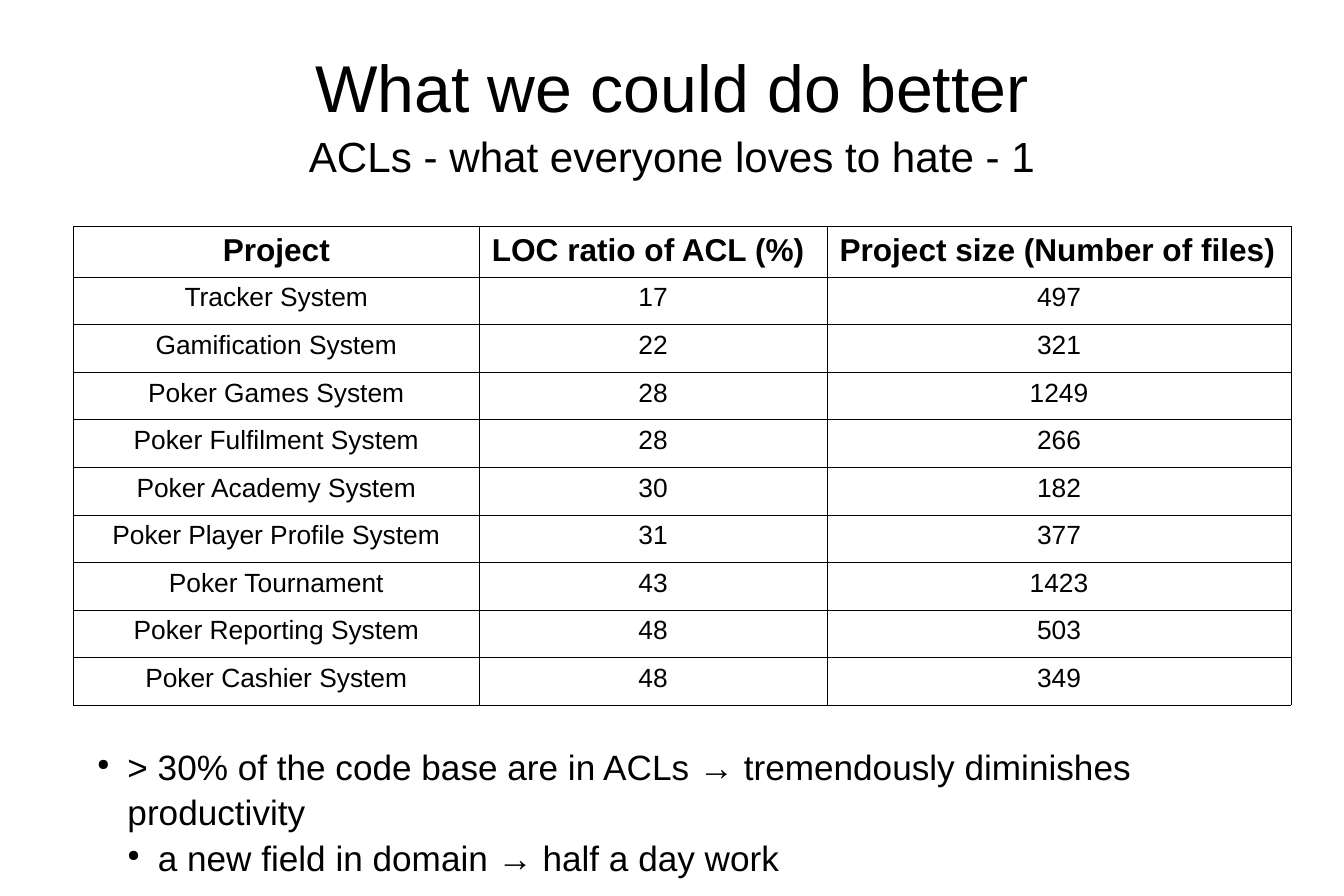
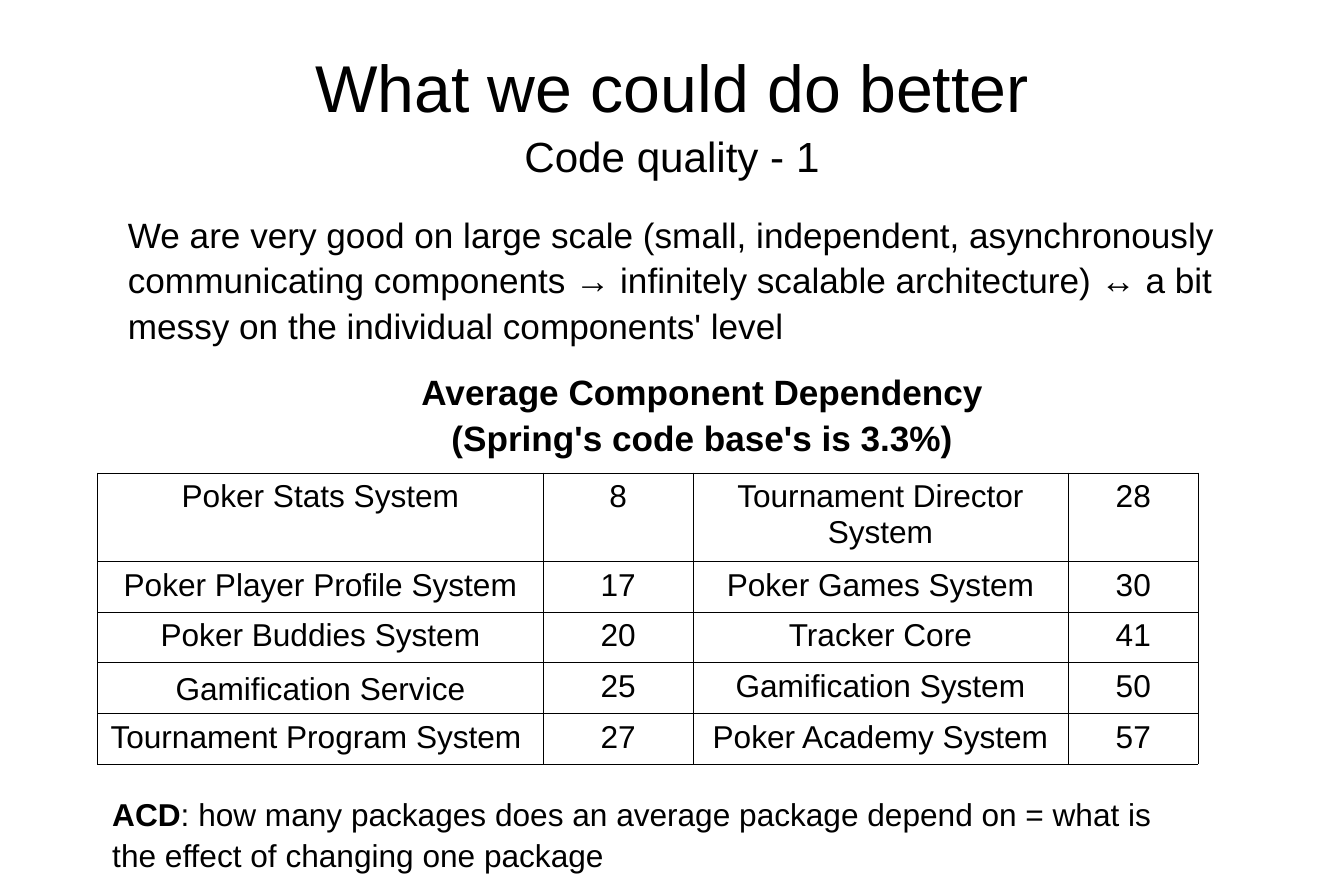
from dataclasses import dataclass

from lxml.etree import SubElement
from pptx import Presentation
from pptx.dml.color import RGBColor
from pptx.enum.text import MSO_ANCHOR, PP_ALIGN
from pptx.oxml.ns import qn
from pptx.util import Inches, Pt


@dataclass(frozen=True)
class Theme:
    ink: str = "000000"
    paper: str = "FFFFFF"
    font: str = "Arial"
    title: float = 37.7
    subtitle: float = 24
    body: float = 20
    table: float = 18
    table_small: float = 15
    line_spacing: float = 1.08
    paragraph_gap: float = 12.1
    border: float = 0.06
    bullet_percent: int = 45
    indent: float = 0.24


@dataclass(frozen=True)
class Box:
    left: float
    top: float
    width: float
    height: float

    def lengths(self):
        return (
            Inches(self.left * COLUMN),
            Inches(self.top * ROW),
            Inches(self.width * COLUMN),
            Inches(self.height * ROW),
        )


THEME = Theme()
WIDTH, HEIGHT = 10.63, 7.09
COLUMN, ROW = WIDTH / 100, HEIGHT / 100
TITLE_BOX = Box(5, 4, 90, 16.67)

ACL_ROWS = [
    ("Project", "LOC ratio of ACL (%)", "Project size (Number of files)"),
    ("Tracker System", "17", "497"),
    ("Gamification System", "22", "321"),
    ("Poker Games System", "28", "1249"),
    ("Poker Fulfilment System", "28", "266"),
    ("Poker Academy System", "30", "182"),
    ("Poker Player Profile System", "31", "377"),
    ("Poker Tournament", "43", "1423"),
    ("Poker Reporting System", "48", "503"),
    ("Poker Cashier System", "48", "349"),
]
DEPENDENCY_ROWS = [
    ("Poker Stats System", "8", "Tournament Director System", "28"),
    ("Poker Player Profile System", "17", "Poker Games System", "30"),
    ("Poker Buddies System", "20", "Tracker Core", "41"),
    ("Gamification Service", "25", "Gamification System", "50"),
    ("Tournament Program System ", "27", "Poker Academy System", "57"),
]


def write(para, text, size=THEME.body, bold=False, align=None):
    if align is not None:
        para.alignment = align
    for number, line in enumerate(text.split("\n")):
        if number:
            para.add_line_break()
        span = para.add_run()
        span.text = line
        span.font.name = THEME.font
        span.font.size = Pt(size)
        span.font.bold = bold
        span.font.color.rgb = RGBColor.from_string(THEME.ink)


def set_indent(para, left, first=0):
    properties = para._p.get_or_add_pPr()
    properties.set("marL", str(Inches(left)))
    properties.set("indent", str(Inches(first)))


def set_bullet(para, level):
    para.level = level
    para.line_spacing = THEME.line_spacing
    set_indent(para, THEME.indent * (level + 1), -THEME.indent)
    properties = para._p.get_or_add_pPr()
    color = SubElement(properties, qn("a:buClr"))
    SubElement(color, qn("a:srgbClr"), val=THEME.ink)
    SubElement(properties, qn("a:buSzPct"), val=str(THEME.bullet_percent * 1000))
    SubElement(properties, qn("a:buChar"), char="●")


def add_paragraphs(page, box, count, padded=True):
    frame = page.shapes.add_textbox(*box.lengths()).text_frame
    frame.word_wrap = True
    if not padded:
        frame.margin_left = frame.margin_right = 0
        frame.margin_top = frame.margin_bottom = 0
    for _ in range(count - 1):
        frame.add_paragraph()
    for para in frame.paragraphs:
        para.line_spacing = THEME.line_spacing
    return frame, frame.paragraphs


def add_title(page, box, subtitle):
    frame, (para,) = add_paragraphs(page, box, 1, padded=False)
    frame.vertical_anchor = MSO_ANCHOR.MIDDLE
    write(para, "What we could do better", size=THEME.title, align=PP_ALIGN.CENTER)
    para.add_line_break()
    write(para, subtitle, size=THEME.subtitle)


def add_bullets(page, box, items):
    _, paras = add_paragraphs(page, box, len(items))
    for para, (level, text) in zip(paras, items):
        set_bullet(para, level)
        write(para, text)


def add_introduction(page, box, statement, heading):
    _, paras = add_paragraphs(page, box, 2, padded=False)
    for para in paras:
        set_indent(para, 2 * THEME.indent)
        para.space_after = Pt(THEME.paragraph_gap)
    write(paras[0], statement)
    write(paras[1], heading, bold=True, align=PP_ALIGN.CENTER)


def add_definition(page, box, term, meaning):
    _, (para,) = add_paragraphs(page, box, 1)
    write(para, term, size=THEME.table, bold=True)
    write(para, meaning, size=THEME.table)


def style_cell(cell):
    properties = cell._tc.get_or_add_tcPr()
    for side in ("lnL", "lnR", "lnT", "lnB"):
        line = SubElement(properties, qn(f"a:{side}"), w=str(Pt(THEME.border)))
        fill = SubElement(line, qn("a:solidFill"))
        SubElement(fill, qn("a:srgbClr"), val=THEME.ink)
    cell.fill.solid()
    cell.fill.fore_color.rgb = RGBColor.from_string(THEME.paper)


def share_out(tracks, total, weights, attribute):
    for track, weight in zip(tracks, weights):
        setattr(track, attribute, int(total * weight / sum(weights)))


def add_grid(page, box, rows, widths, heights, size, header=False):
    left, top, width, height = box.lengths()
    table = page.shapes.add_table(
        len(rows), len(widths), left, top, width, height
    ).table
    table.first_row = header
    table.horz_banding = False
    share_out(table.columns, width, widths, "width")
    share_out(table.rows, height, heights, "height")
    for row, texts in enumerate(rows):
        heading = header and row == 0
        for column, text in enumerate(texts):
            cell = table.cell(row, column)
            style_cell(cell)
            write(
                cell.text_frame.paragraphs[0],
                text,
                size=THEME.table if heading else size,
                bold=heading,
                align=PP_ALIGN.LEFT if heading and column else PP_ALIGN.CENTER,
            )
    return table


def add_page(deck, subtitle):
    page = deck.slides.add_slide(deck.slide_layouts[6])
    page.background.fill.solid()
    page.background.fill.fore_color.rgb = RGBColor.from_string(THEME.paper)
    add_title(page, TITLE_BOX, subtitle)
    return page


def build_acl_page(deck):
    page = add_page(deck, "ACLs - what everyone loves to hate - 1")
    add_grid(
        page,
        Box(5.46, 25.25, 90.6, 53.4),
        ACL_ROWS,
        widths=(3.21, 2.75, 3.67),
        heights=[0.4] + [0.38] * 9,
        size=THEME.table_small,
        header=True,
    )
    add_bullets(page, Box(6.3, 82.09, 85.9, 14.53), [
        (0, "> 30% of the code base are in ACLs → tremendously diminishes productivity"),
        (1, "a new field in domain → half a day work"),
    ])


def build_quality_page(deck):
    page = add_page(deck, "Code quality - 1")
    add_introduction(
        page,
        Box(5, 23.41, 90, 66),
        "We are very good on large scale (small, independent, asynchronously "
        "communicating components → infinitely scalable architecture) ↔ a bit "
        "messy on the individual components' level",
        "Average Component Dependency\n(Spring's code base's is 3.3%)",
    )
    table = add_grid(
        page,
        Box(7.24, 52.75, 81.93, 32.5),
        DEPENDENCY_ROWS,
        widths=(3.53, 1.18, 2.97, 1.03),
        heights=[0.7] + [0.4] * 4,
        size=THEME.table,
    )
    table.cell(3, 0).vertical_anchor = MSO_ANCHOR.BOTTOM
    add_definition(
        page,
        Box(7.43, 87.73, 82.97, 10.86),
        "ACD",
        ": how many packages does an average package depend on = what is "
        "the effect of changing one package",
    )


def main():
    deck = Presentation()
    deck.slide_width, deck.slide_height = Inches(WIDTH), Inches(HEIGHT)
    build_acl_page(deck)
    build_quality_page(deck)
    deck.save("out.pptx")


if __name__ == "__main__":
    main()
